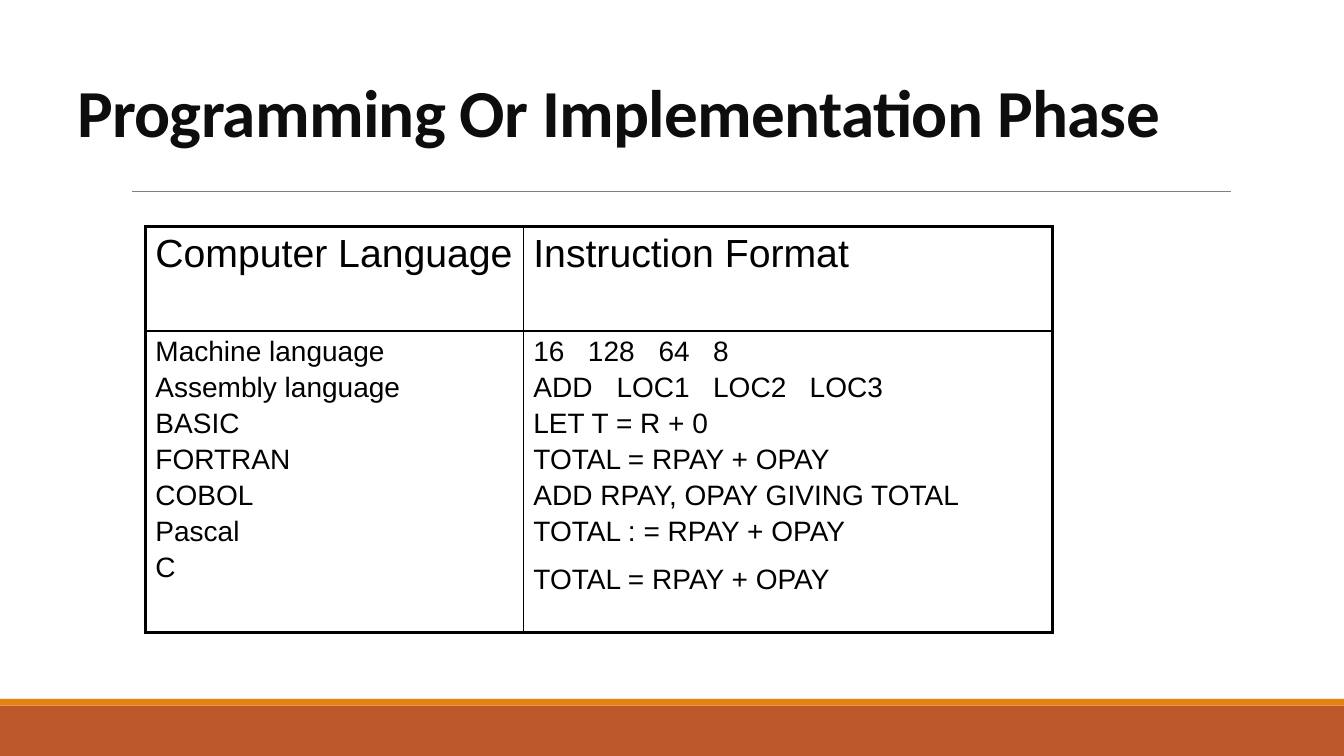
import pptx
import pptx.dml.color
import pptx.enum.shapes
import pptx.enum.text
import pptx.oxml
import pptx.oxml.ns
import pptx.util
from lxml import etree

COLORS = {"black": "000000", "title": "0D0D0D", "rule": "808080",
          "rust": "BD582C", "orange": "E48312"}
COLS, ROWS = 160, 90
OUTER, INNER = 2.25, 1

HEADERS = ["Computer Language", "Instruction Format"]
LANGUAGES = ["Machine language", "Assembly language", "BASIC", "FORTRAN",
             "COBOL", "Pascal", "C"]
FORMATS = ["16\t128\t64\t8", "ADD\tLOC1\tLOC2\tLOC3", "LET T = R + 0",
           "TOTAL = RPAY + OPAY", "ADD RPAY, OPAY GIVING TOTAL",
           "TOTAL : = RPAY + OPAY", "TOTAL = RPAY + OPAY"]
FORMAT_TABS = {0: [6.5, 14.9, 21.4], 1: [9.9, 21.4, 32.9]}
LAST_FORMAT_GAP = 12


def rgb(name):
    return pptx.dml.color.RGBColor.from_string(COLORS[name])


def sub(parent, tag, **attrs):
    return etree.SubElement(parent, pptx.oxml.ns.qn(tag), attrs)


def write(p, text, size=20, font="Arial", color="black", bold=False,
          before=0, leading=None, spacing=None, tabs=()):
    if tabs:
        tab_list = sub(p._p.get_or_add_pPr(), "a:tabLst")
        for pos in tabs:
            sub(tab_list, "a:tab", pos=str(pos), algn="l")
    if before:
        p.space_before = pptx.util.Pt(before)
    if leading:
        p.line_spacing = leading
    r = p.add_run()
    r.text = text
    r.font.size = pptx.util.Pt(size)
    r.font.name = font
    r.font.bold = bold
    r.font.color.rgb = rgb(color)
    if spacing is not None:
        r._r.get_or_add_rPr().set("spc", str(int(spacing * 100)))


class Deck:
    """Draws styled elements on a slide measured in grid columns and rows."""

    def __init__(self):
        self.prs = pptx.Presentation()
        self.prs.slide_width = pptx.util.Inches(13.33)
        self.prs.slide_height = pptx.util.Inches(7.5)
        self.s = self.prs.slides.add_slide(self.prs.slide_layouts[6])

    def x(self, cols):
        return int(self.prs.slide_width * cols / COLS)

    def y(self, rows):
        return int(self.prs.slide_height * rows / ROWS)

    def box(self, left, top, width, height):
        return self.x(left), self.y(top), self.x(width), self.y(height)

    def band(self, top, height, color):
        sp = self.s.shapes.add_shape(
            pptx.enum.shapes.MSO_SHAPE.RECTANGLE,
            *self.box(0, top, COLS, height))
        sp.shadow.inherit = False
        sp.fill.solid()
        sp.fill.fore_color.rgb = rgb(color)
        sp.line.fill.background()

    def rule(self, left, right, row):
        line = self.s.shapes.add_connector(
            pptx.enum.shapes.MSO_CONNECTOR.STRAIGHT,
            *self.box(left, row, right, row))
        line.line.color.rgb = rgb("rule")
        line.line.width = pptx.util.Pt(0.5)
        sub(line._element.spPr, "a:effectLst")

    def title(self, text, *place):
        tf = self.s.shapes.add_textbox(*self.box(*place)).text_frame
        tf.word_wrap = True
        tf.vertical_anchor = pptx.enum.text.MSO_ANCHOR.BOTTOM
        write(tf.paragraphs[0], text, size=48, font="Calibri", color="title",
              bold=True, leading=0.85, spacing=-0.5)

    def table(self, left, top, widths, heights):
        table = self.s.shapes.add_table(
            len(heights), len(widths),
            *self.box(left, top, sum(widths), sum(heights))).table
        table.first_row = table.horz_banding = False
        for column, width in zip(table.columns, widths):
            column.width = self.x(width)
        for row, height in zip(table.rows, heights):
            row.height = self.y(height)
        for i in range(len(heights)):
            for j in range(len(widths)):
                self.borders(table.cell(i, j), {
                    "L": j == 0, "R": j == len(widths) - 1,
                    "T": i == 0, "B": i == len(heights) - 1})
        return table

    def borders(self, cell, outer_sides):
        tc_pr = cell._tc.get_or_add_tcPr()
        for side, outer in outer_sides.items():
            width = pptx.util.Pt(OUTER if outer else INNER)
            ln = sub(tc_pr, f"a:ln{side}", w=str(int(width)))
            sub(sub(ln, "a:solidFill"), "a:srgbClr", val=COLORS["black"])
        cell.fill.background()

    def lines(self, cell, texts, size=20, tabs=None, last_gap=3.4):
        tf = cell.text_frame
        for i, text in enumerate(texts):
            p = tf.add_paragraph() if i else tf.paragraphs[0]
            gap = last_gap if i == len(texts) - 1 else 3.4
            write(p, text, size=size, before=gap if i else 0,
                  tabs=[self.x(t) for t in (tabs or {}).get(i, [])])


def main():
    deck = Deck()
    deck.band(84, 6, "rust")
    deck.band(83.2, 0.8, "orange")
    deck.rule(15.75, 146.5, 22.8)
    deck.title("Programming Or Implementation Phase", 8, 3.6, 144, 15)
    table = deck.table(17.3, 27, [45, 63], [12.4, 35.9])
    for j, header in enumerate(HEADERS):
        deck.lines(table.cell(0, j), [header], size=28)
    deck.lines(table.cell(1, 0), LANGUAGES)
    deck.lines(table.cell(1, 1), FORMATS, tabs=FORMAT_TABS,
               last_gap=LAST_FORMAT_GAP)
    deck.prs.save("out.pptx")


if __name__ == "__main__":
    main()
